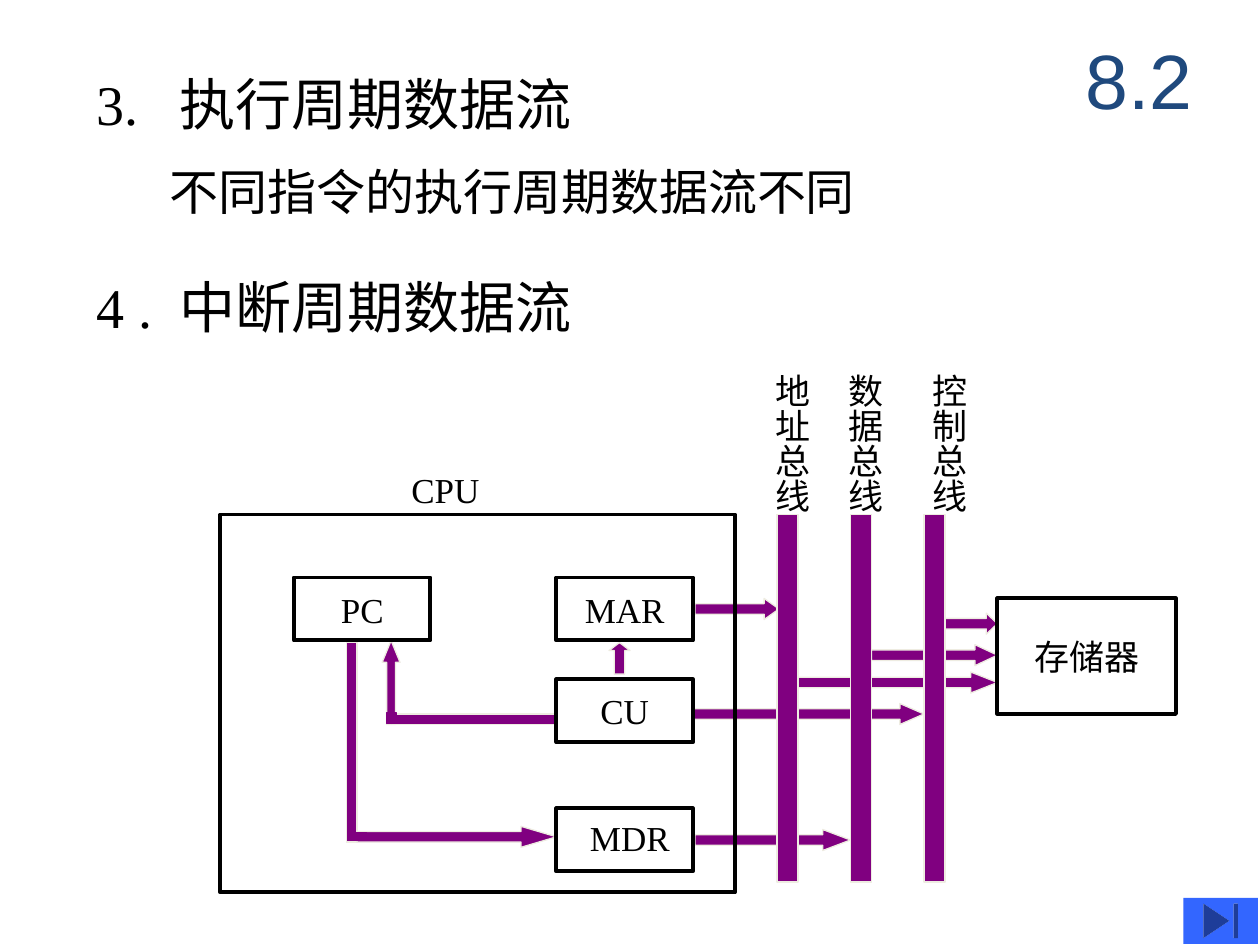
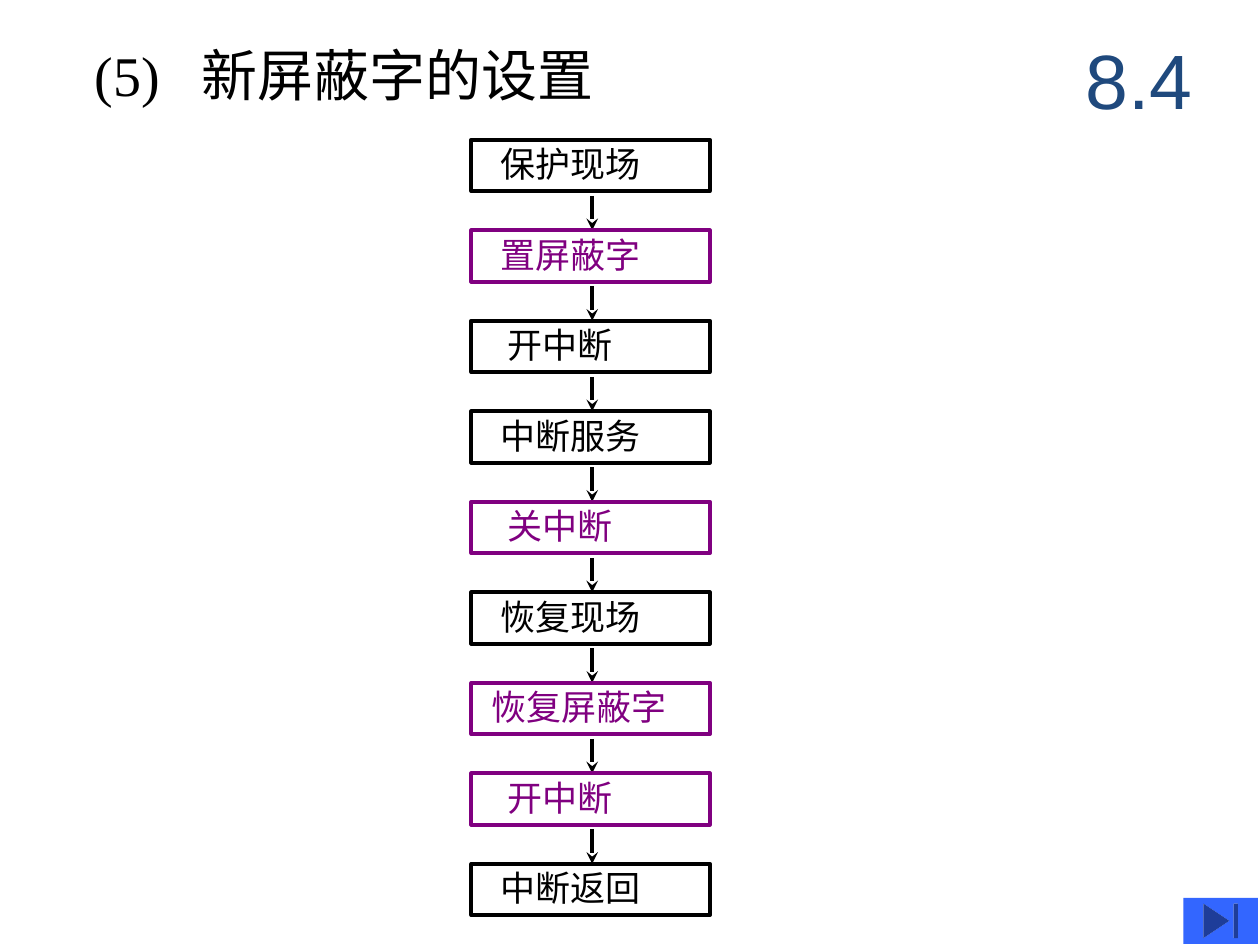
import pptx
import pptx.util
import pptx.dml.color
import pptx.enum.shapes
import pptx.enum.text
import pptx.oxml.ns
import lxml.etree

COLORS = {"ink": "000000", "bus": "800080", "edge": "EEECE1", "section": "1F497D", "button": "3366FF"}
PRESET = pptx.enum.shapes.MSO_SHAPE
ALIGN = pptx.enum.text.PP_ALIGN
ANCHOR = pptx.enum.text.MSO_ANCHOR

deck = pptx.Presentation()
deck.slide_width = pptx.util.Inches(10)
deck.slide_height = pptx.util.Inches(7.5)
CELL = deck.slide_width / 120


def block(slide, preset, place, fill=None, line=None, width=0.75):
    left, top, across, down = [round(n * CELL) for n in place]
    if preset is None:
        return slide.shapes.add_textbox(left, top, across, down)
    shape = slide.shapes.add_shape(preset, left, top, across, down)
    shape.shadow.inherit = False
    for ink, name in ((shape.fill, fill), (shape.line.fill, line)):
        if name:
            ink.solid()
            ink.fore_color.rgb = pptx.dml.color.RGBColor.from_string(COLORS[name])
        else:
            ink.background()
    if line:
        shape.line.width = pptx.util.Pt(width)
    return shape


def write(shape, text, size=20, font="Times New Roman", color="ink", align=ALIGN.LEFT,
          anchor=ANCHOR.TOP, insets=(0.1, 0.05, 0.1, 0.05), wrap=False,
          indent=0, tab=None, vertical=False):
    frame = shape.text_frame
    frame.word_wrap = wrap
    frame.vertical_anchor = anchor
    frame.margin_left, frame.margin_top, frame.margin_right, frame.margin_bottom = [
        pptx.util.Inches(n) for n in insets]
    if vertical:
        frame._txBody.bodyPr.set("vert", "eaVert")
    paragraph = frame.paragraphs[0]
    paragraph.text = text
    paragraph.alignment = align
    props = paragraph._p.get_or_add_pPr()
    if indent:
        props.set("marL", str(pptx.util.Inches(indent)))
        props.set("indent", "0")
    if tab:
        stops = lxml.etree.SubElement(props, pptx.oxml.ns.qn("a:tabLst"))
        lxml.etree.SubElement(stops, pptx.oxml.ns.qn("a:tab"), pos=str(pptx.util.Inches(tab)), algn="l")
    paragraph.font.size = pptx.util.Pt(size)
    paragraph.font.name = font
    paragraph.font.color.rgb = pptx.dml.color.RGBColor.from_string(COLORS[color])


slides = []
for section in ("8.2", "8.4"):
    slide = deck.slides.add_slide(deck.slide_layouts[6])
    write(block(slide, None, (101, 2, 15, 11)), section, size=44, font="Arial", color="section",
          align=ALIGN.CENTER, anchor=ANCHOR.MIDDLE, wrap=True)
    block(slide, PRESET.ACTION_BUTTON_END, (112.7, 85.5, 7.1, 4.4), fill="button")
    slides.append(slide)
data_flow, mask_flow = slides

for heading, place, size, tab in (
    ("3.\t执行周期数据流", (8, 6, 75, 7.7), 32, 0.66),
    ("4 .\t中断周期数据流", (8, 25.4, 75, 7.7), 32, 0.66),
    ("不同指令的执行周期数据流不同", (15, 14.8, 70, 6.8), 28, None),
):
    write(block(data_flow, None, place), heading, size=size, tab=tab, wrap=True)

RIGHT, UP, BAR = PRESET.RIGHT_ARROW, PRESET.UP_ARROW, PRESET.RECTANGLE
for preset, place, head in (
    (RIGHT, (66.2, 57, 8, 2), 0.71),
    (BAR, (33, 61.2, 1, 19), None),
    (RIGHT, (34, 78.7, 19, 2), 1.69),
    (RIGHT, (66.2, 79, 14.8, 2), 1.32),
    (RIGHT, (83, 61.4, 12, 2), 1.07),
    (RIGHT, (66, 67, 22, 2), 1.15),
    (RIGHT, (76, 64, 19, 2), 1.27),
    (UP, (36.4, 61, 1.7, 8), 1.22),
    (BAR, (37.3, 68, 15.6, 1), None),
    (UP, (58, 61.2, 2, 3), 0.38),
    (RIGHT, (89, 58.4, 6, 2), 0.53),
):
    route = block(data_flow, preset, place, fill="bus", line="edge")
    if head:
        route.adjustments[1] = head

for joint in ((33.7, 79.3, 1.2, 0.7), (75.5, 64.6, 1, 0.6), (36.8, 67.9, 1, 1)):
    block(data_flow, BAR, joint, fill="bus", line="bus")

for bus, bar_left, label_left in (
    ("地址总线", 74, 71.6), ("数据总线", 81, 78.6), ("控制总线", 88, 86.6),
):
    block(data_flow, BAR, (bar_left, 49, 2, 35), fill="bus", line="edge")
    write(block(data_flow, None, (label_left, 34.4, 6.4, 14.6)), bus,
          insets=(0.05, 0.1, 0.05, 0.1), vertical=True)

for unit, place in (
    ("PC", (28, 55, 13, 6)),
    ("MAR", (53, 55, 13, 6)),
    ("CU", (53, 64.7, 13, 6)),
    ("存储器", (95, 57, 17, 11)),
    ("", (53, 77, 13, 6)),
    ("", (21, 49, 49, 36)),
):
    frame = block(data_flow, BAR, place, line="ink", width=2.25)
    if unit:
        write(frame, unit, align=ALIGN.CENTER, anchor=ANCHOR.MIDDLE)

for label, place in (("MDR", (55, 77.2, 10, 5.3)), ("CPU", (38, 44, 8.9, 5.3))):
    write(block(data_flow, None, place), label)

write(block(mask_flow, None, (9, 4.3, 93.6, 5.6)), "(5)\t新屏蔽字的设置", size=32, tab=0.85,
      anchor=ANCHOR.MIDDLE, insets=(0, 0, 0, 0))

steps = (
    ("保护现场", "ink"), ("置屏蔽字", "bus"), ("开中断", "ink"),
    ("中断服务", "ink"), ("关中断", "bus"), ("恢复现场", "ink"),
    ("恢复屏蔽字", "bus"), ("开中断", "bus"), ("中断返回", "ink"),
)
FIRST_STEP, STEP_PITCH = 13.3, 8.62
STEP_INDENT = {3: 0.19, 4: 0.13, 5: 0.06}
for row, (step, color) in enumerate(steps):
    top = FIRST_STEP + row * STEP_PITCH
    step_box = block(mask_flow, BAR, (44.9, top, 22.7, 4.9), line=color, width=2.25)
    write(step_box, step, font="Calibri", color=color, anchor=ANCHOR.MIDDLE,
          insets=(0.1, 0.02, 0, 0.05), indent=STEP_INDENT[len(step)])
    if row < len(steps) - 1:
        descent = mask_flow.shapes.add_connector(
            pptx.enum.shapes.MSO_CONNECTOR.STRAIGHT,
            *[round(n * CELL) for n in (56.4, top + 5.35, 56.4, top + STEP_PITCH)])
        descent.line.width = pptx.util.Pt(2.25)
        descent.line.color.rgb = pptx.dml.color.RGBColor.from_string(COLORS["ink"])
        lxml.etree.SubElement(descent.line._get_or_add_ln(), pptx.oxml.ns.qn("a:tailEnd"), type="stealth")
        lxml.etree.SubElement(descent._element.spPr, pptx.oxml.ns.qn("a:effectLst"))

deck.save("out.pptx")
